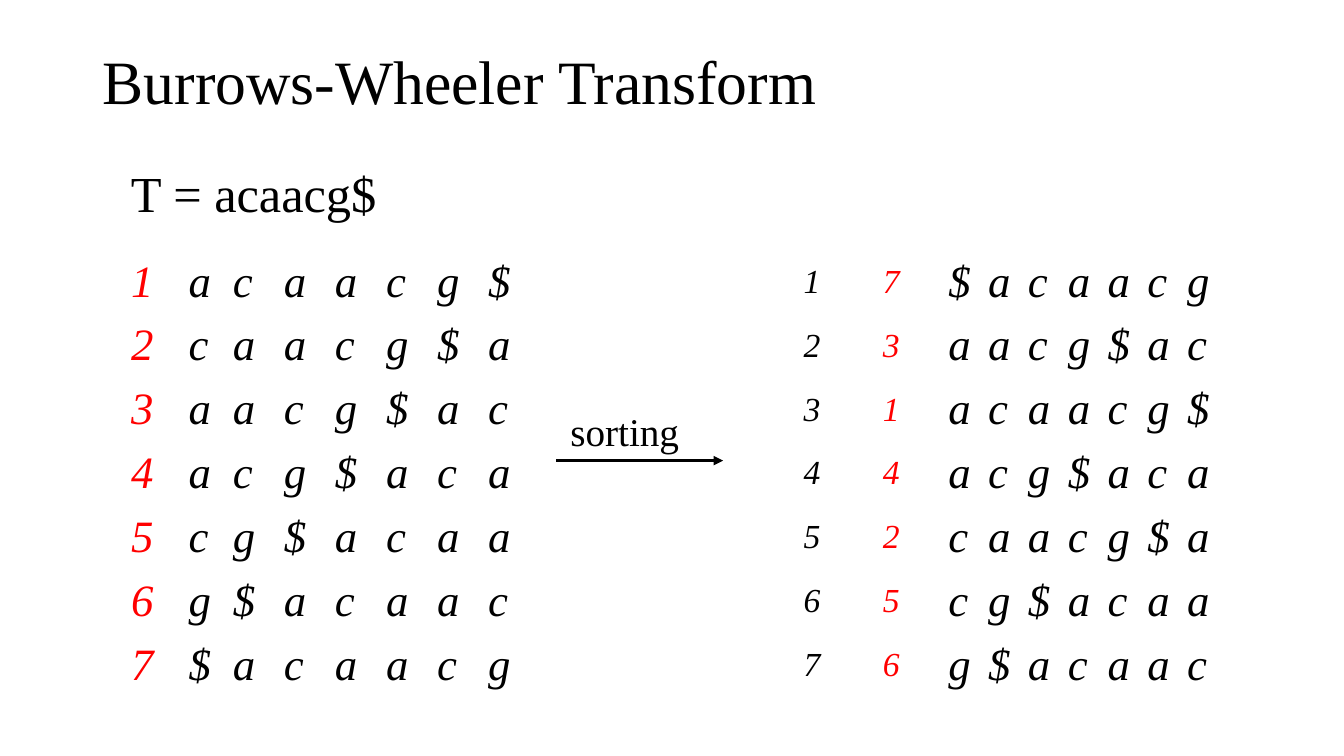
from dataclasses import dataclass

from lxml.etree import SubElement
from pptx import Presentation
from pptx.dml.color import RGBColor
from pptx.enum.shapes import MSO_CONNECTOR
from pptx.enum.text import MSO_ANCHOR
from pptx.oxml.ns import qn
from pptx.util import Inches, Pt

# Content
TITLE = "Burrows-Wheeler Transform"
SEQUENCE = "acaacg$"
SEQUENCE_LABEL = f"T = {SEQUENCE}"
STEP_LABEL = "sorting"
ROTATIONS = [(start + 1, SEQUENCE[start:] + SEQUENCE[:start]) for start in range(len(SEQUENCE))]
SORTED_ROTATIONS = sorted(ROTATIONS, key=lambda rotation: rotation[1])


@dataclass(frozen=True)
class Theme:
    font: str = "Times New Roman"
    ink: RGBColor = RGBColor(0, 0, 0)
    index: RGBColor = RGBColor(255, 0, 0)
    title: int = 44
    sequence: int = 36
    letter: int = 32
    step: int = 28
    rank: int = 24
    arrow: float = 2.25


THEME = Theme()

# Layout, in percent of the slide's width and height
TITLE_BOX = (6.9, 1.47, 86.27, 19.33)
SEQUENCE_BOX = (9, 20.8, 50, 9.47)
STEP_BOX = (41.7, 53.87, 13.65, 14.93)
ARROW = (41.4, 53.8, 60.93)
TABLE_TOP = 33.07
ROTATION_LEFT, ROTATION_ROW = 9, 6.4
ROTATION_COLUMNS = [4.28, 3.3] + [3.8] * (len(SEQUENCE) - 1)
SORTED_LEFT, SORTED_ROW = 59.04, 8.44
SORTED_COLUMNS = [5.9, 4.88] + [2.96] * len(SEQUENCE)

presentation = Presentation()
presentation.slide_width = Inches(13.33)
presentation.slide_height = Inches(7.5)
slide = presentation.slides.add_slide(presentation.slide_layouts[6])


def across(percent):
    return round(presentation.slide_width * percent / 100)


def down(percent):
    return round(presentation.slide_height * percent / 100)


def write(frame, text, *, size, color=THEME.ink, italic=False, line_spacing=1.0):
    paragraph = frame.paragraphs[0]
    paragraph.line_spacing = line_spacing
    run = paragraph.add_run()
    run.text = text
    font = run.font
    font.name, font.size, font.color.rgb = THEME.font, Pt(size), color
    font.bold, font.italic = False, italic


def add_text(box, text, anchor=MSO_ANCHOR.TOP, **text_format):
    left, top, width, height = box
    shape = slide.shapes.add_textbox(across(left), down(top), across(width), down(height))
    shape.text_frame.word_wrap = True
    shape.text_frame.vertical_anchor = anchor
    write(shape.text_frame, text, **text_format)


def add_grid(left, columns, row_height, rows):
    """Each row holds (text, size, color) entries."""
    frame = slide.shapes.add_table(
        len(rows), len(columns), across(left), down(TABLE_TOP),
        across(sum(columns)), down(row_height * len(rows)))
    table = frame.table
    table.first_row = table.horz_banding = False
    for column, width in zip(table.columns, columns):
        column.width = across(width)
    for row_number, row in enumerate(rows):
        table.rows[row_number].height = down(row_height)
        for column_number, (text, size, color) in enumerate(row):
            cell = table.cell(row_number, column_number)
            cell.fill.background()
            cell.vertical_anchor = MSO_ANCHOR.MIDDLE
            write(cell.text_frame, text, size=size, color=color, italic=True)


def letters(rotation):
    return [(letter, THEME.letter, THEME.ink) for letter in rotation]


# Headings
add_text(TITLE_BOX, TITLE, MSO_ANCHOR.MIDDLE, size=THEME.title, line_spacing=0.9)
add_text(SEQUENCE_BOX, SEQUENCE_LABEL, size=THEME.sequence)

# Rotations before and after sorting
add_grid(ROTATION_LEFT, ROTATION_COLUMNS, ROTATION_ROW, [
    [(str(index), THEME.letter, THEME.index)] + letters(rotation)
    for index, rotation in ROTATIONS])
add_grid(SORTED_LEFT, SORTED_COLUMNS, SORTED_ROW, [
    [(str(rank), THEME.rank, THEME.ink), (str(index), THEME.rank, THEME.index)] + letters(rotation)
    for rank, (index, rotation) in enumerate(SORTED_ROTATIONS, 1)])

# Sorting step
add_text(STEP_BOX, STEP_LABEL, size=THEME.step, line_spacing=0.9)
start, end, height = ARROW
arrow = slide.shapes.add_connector(
    MSO_CONNECTOR.STRAIGHT, across(start), down(height), across(end), down(height))
arrow.line.color.rgb = THEME.ink
arrow.line.width = Pt(THEME.arrow)
SubElement(arrow.line._get_or_add_ln(), qn("a:tailEnd"), type="triangle")
SubElement(arrow._element.spPr, qn("a:effectLst"))

presentation.save("out.pptx")
